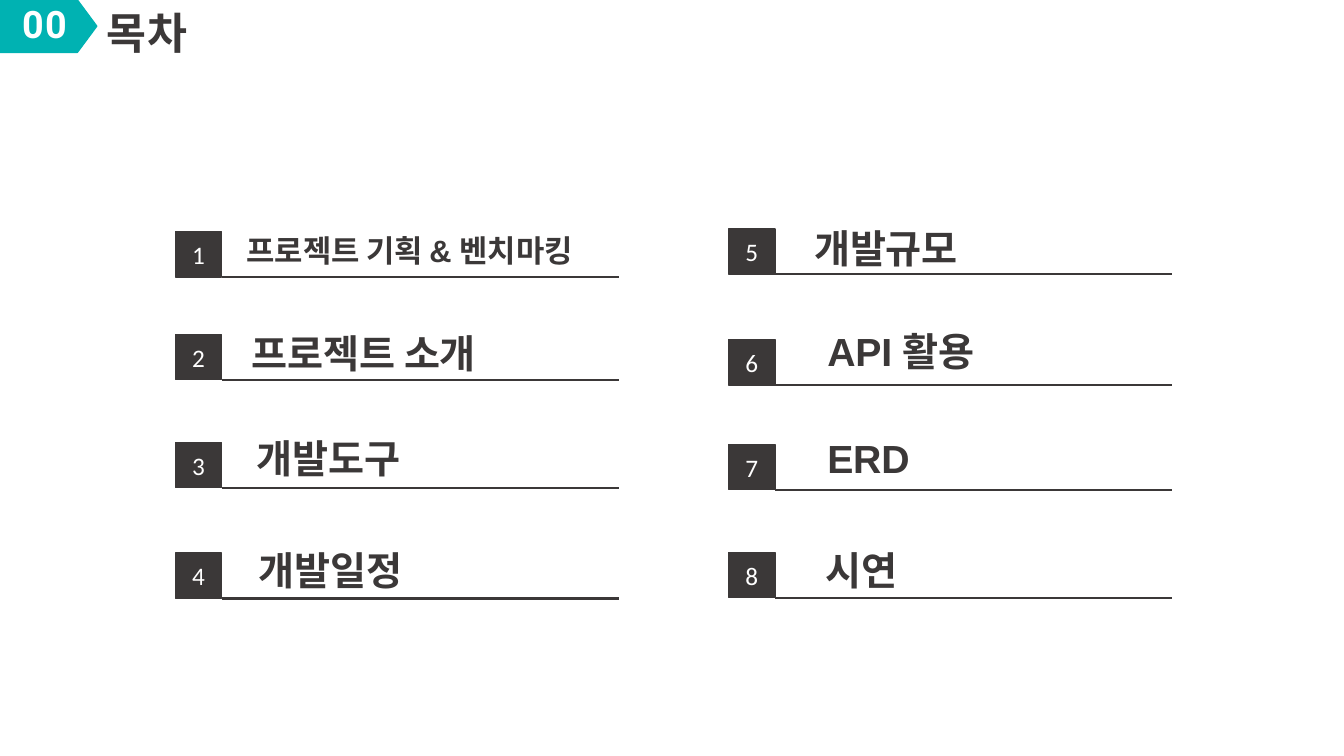
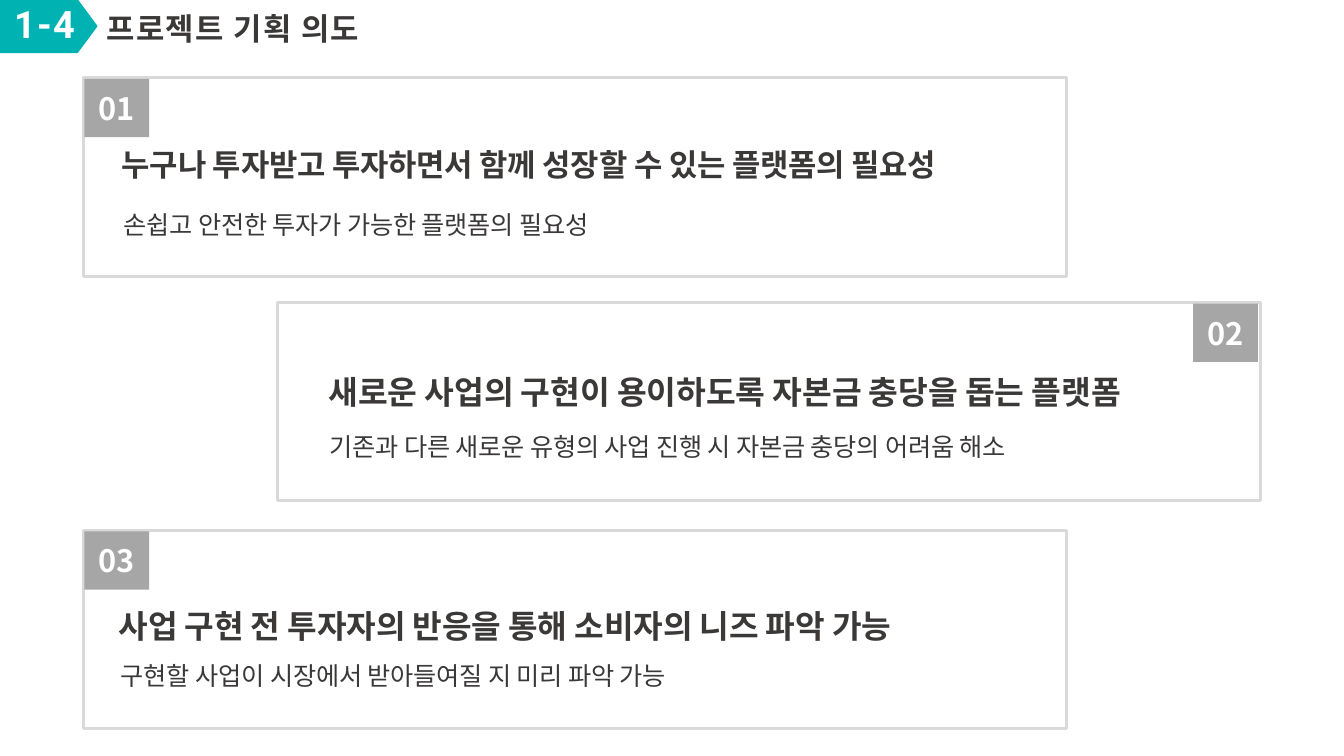
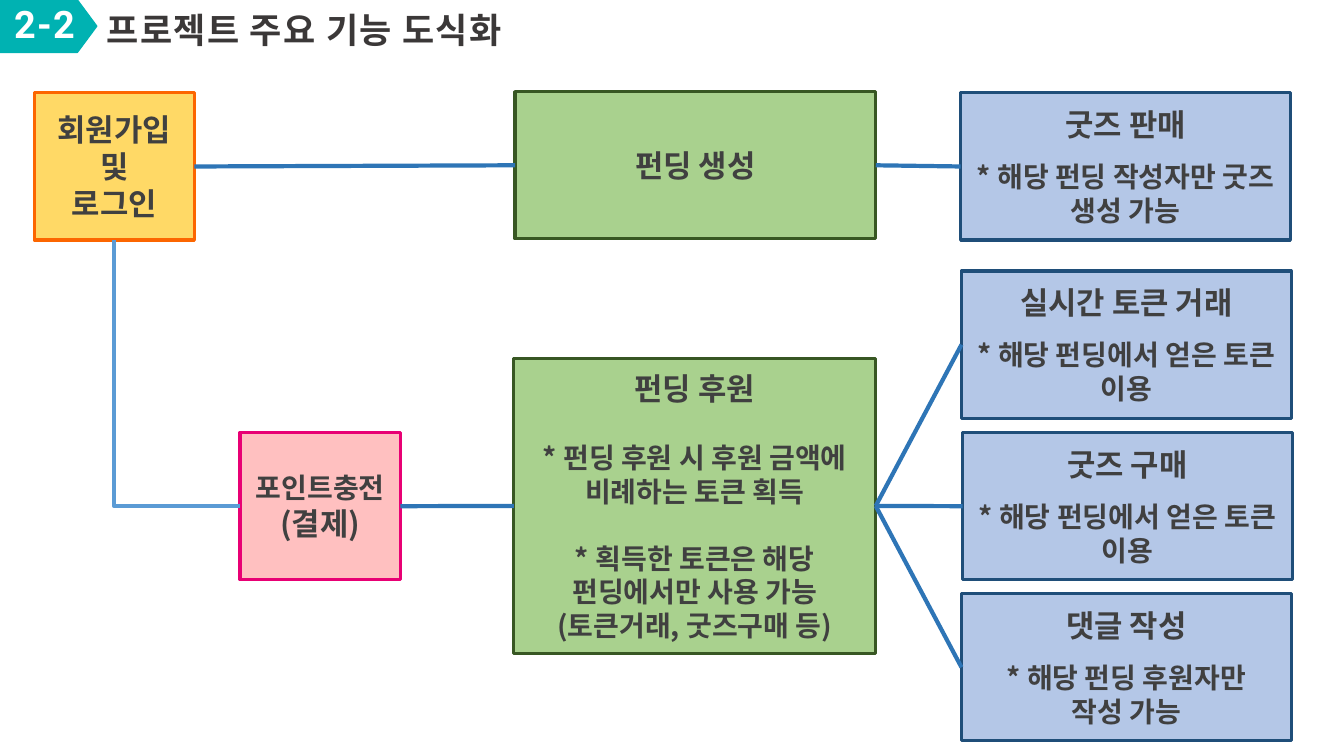
"""Build the agenda, planning-intent and feature-map slides of a funding project."""
from lxml.etree import SubElement
from pptx import Presentation
from pptx.dml.color import RGBColor
from pptx.enum.shapes import MSO_CONNECTOR, MSO_SHAPE
from pptx.enum.text import MSO_ANCHOR, PP_ALIGN
from pptx.oxml.ns import qn
from pptx.util import Cm, Pt

INK = RGBColor(0x3B, 0x38, 0x38)
CHARCOAL = RGBColor(0x40, 0x40, 0x40)
WHITE = RGBColor(0xFF, 0xFF, 0xFF)
TEAL = RGBColor(0x00, 0xB2, 0xB2)
PALE_GREY = RGBColor(0xD9, 0xD9, 0xD9)
MID_GREY = RGBColor(0xA6, 0xA6, 0xA6)
YELLOW = RGBColor(0xFF, 0xD9, 0x66)
ORANGE = RGBColor(0xFC, 0x66, 0x00)
GREEN = RGBColor(0xA9, 0xD1, 0x8E)
DARK_GREEN = RGBColor(0x38, 0x57, 0x23)
SKY = RGBColor(0xB4, 0xC7, 0xE7)
NAVY = RGBColor(0x1F, 0x4E, 0x79)
PINK = RGBColor(0xFF, 0xC0, 0xC0)
MAGENTA = RGBColor(0xE8, 0x00, 0x74)
LINK = RGBColor(0x2E, 0x75, 0xB6)
BENT_LINK = RGBColor(0x5B, 0x9B, 0xD5)

KOREAN = "Noto Sans CJK KR"
TITLE = {"name": "Roboto", "bold": True}
HEADING = {"name": "Arial", "bold": True}
DETAIL = {"name": "Arial", "bold": False}
NUMBER = {"name": "Calibri", "bold": False}
LABEL = {"name": KOREAN, "bold": True}
NO_INSETS = dict.fromkeys(("margin_left", "margin_top", "margin_right", "margin_bottom"), 0)

TOP, LEFT, BOTTOM, RIGHT = range(4)
NODE_HEIGHT = 3.71


def set_all(target, values):
    for name, value in values.items():
        setattr(target, name, value)


def write(paragraph, text, style, size, color, tracking=0, **layout):
    set_all(paragraph, layout)
    run = paragraph.add_run()
    run.text = text
    set_all(run.font, {**style, "size": Pt(size)})
    run.font.color.rgb = color
    properties = run._r.get_or_add_rPr()
    SubElement(properties, qn("a:ea")).set("typeface", KOREAN)
    if tracking:
        properties.set("spc", str(tracking))


def add_text(slide, box, text, style, size, color=INK, tracking=-10, frame=None, **layout):
    text_frame = slide.shapes.add_textbox(*map(Cm, box)).text_frame
    set_all(text_frame, {"word_wrap": True, **(frame or {})})
    write(text_frame.paragraphs[0], text, style, size, color, tracking, **layout)


def add_block(slide, box, fill=None, outline=None, width=1, kind=MSO_SHAPE.RECTANGLE):
    block = slide.shapes.add_shape(kind, *map(Cm, box))
    block.shadow.inherit = False
    if fill is None:
        block.fill.background()
    else:
        block.fill.solid()
        block.fill.fore_color.rgb = fill
    if outline is None:
        block.line.fill.background()
    else:
        block.line.color.rgb = outline
        block.line.width = Pt(width)
    set_all(block.text_frame, {"word_wrap": True, "vertical_anchor": MSO_ANCHOR.MIDDLE})
    return block


def add_number(slide, box, text, style, size, fill, outline=None):
    badge = add_block(slide, box, fill, outline)
    write(badge.text_frame.paragraphs[0], text, style, size, WHITE, alignment=PP_ALIGN.CENTER)


def add_line(slide, start, end, color, width, kind=MSO_CONNECTOR.STRAIGHT):
    line = slide.shapes.add_connector(kind, *map(Cm, start + end))
    line.line.color.rgb = color
    line.line.width = Pt(width)
    SubElement(line._element.spPr, qn("a:effectLst"))
    return line


def add_node(slide, box, fill, outline, lines):
    node = add_block(slide, box, fill, outline, 2.25)
    for index, (text, size, before) in enumerate(lines):
        paragraphs = node.text_frame
        paragraph = paragraphs.add_paragraph() if index else paragraphs.paragraphs[0]
        write(paragraph, text, LABEL, size, CHARCOAL,
              alignment=PP_ALIGN.CENTER, space_before=Pt(before))
    return node


def link(slide, source, target):
    line = add_line(slide, (0, 0), (1, 1), LINK, 3)
    line.begin_connect(source, RIGHT)
    line.end_connect(target, LEFT)


def link_down_then_right(slide, source, target):
    line = add_line(slide, (0, 0), (1, 1), BENT_LINK, 3, MSO_CONNECTOR.ELBOW)
    line.begin_connect(source, BOTTOM)
    line.end_connect(target, LEFT)
    run, drop = line.width, line.height
    shift = (run - drop) // 2
    set_all(line, {"left": line.left + shift, "top": line.top - shift,
                   "width": drop, "height": run})
    properties = line._element.spPr
    properties.find(qn("a:prstGeom")).set("prst", "bentConnector2")
    frame = properties.find(qn("a:xfrm"))
    frame.set("rot", "16200000")
    frame.set("flipH", "1")


def new_slide(deck, number, title, size):
    slide = deck.slides.add_slide(deck.slide_layouts[6])
    add_text(slide, (2.44, 0.38, 13.46, 0.97), title, TITLE, size, tracking=100, line_spacing=0.7)
    flag = add_block(slide, (0, 0, 2.44, 1.32), TEAL, TEAL, kind=MSO_SHAPE.PENTAGON)
    flag.adjustments[0] = 0.37
    add_text(slide, (-0.1, 0.03, 2.44, 1.73), number, TITLE, 27, WHITE, 100,
             alignment=PP_ALIGN.CENTER, line_spacing=0.9)
    return slide


def build_agenda(deck):
    slide = new_slide(deck, "00", "목차", 31)
    columns = (
        (4.42, (("프로젝트 기획 & 벤치마킹", 22, 5.84, 5.97, 5.82),
                ("프로젝트 소개", 28, 8.43, 6.1, 8.31),
                ("개발도구", 28, 11.15, 6.22, 10.95),
                ("개발일정", 28, 13.94, 6.27, 13.77))),
        (18.36, (("개발규모", 28, 5.77, 20.27, 5.66),
                 ("API 활용", 28, 8.56, 20.6, 8.26),
                 ("ERD", 28, 11.2, 20.6, 10.95),
                 ("시연", 28, 13.92, 20.55, 13.77))),
    )
    number = 0
    for left, topics in columns:
        for topic, size, top, text_left, text_top in topics:
            number += 1
            rule = top + 1.14
            add_line(slide, (left + 1.17, rule), (left + 11.18, rule), INK, 1.5)
            add_number(slide, (left, top, 1.17, 1.14), str(number), NUMBER, 18, INK, INK)
            add_text(slide, (text_left, text_top, 9.88, 1.52), topic, HEADING, size,
                     line_spacing=0.9)


def build_intent(deck):
    slide = new_slide(deck, "1-4", "프로젝트 기획 의도", 22)
    reasons = (
        ("01", (2.11, 1.96), 2.13,
         "누구나 투자받고 투자하면서 함께 성장할 수 있는 플랫폼의 필요성", 22, (2.82, 3.66),
         "손쉽고 안전한 투자가 가능한 플랫폼의 필요성", (3.12, 5.28)),
        ("02", (6.99, 7.62), 30.07,
         "새로운 사업의 구현이 용이하도록 자본금 충당을 돕는 플랫폼", 23.1, (8.03, 9.37),
         "기존과 다른 새로운 유형의 사업 진행 시 자본금 충당의 어려움 해소", (8.31, 10.87)),
        ("03", (2.11, 13.36), 2.13,
         "사업 구현 전 투자자의 반응을 통해 소비자의 니즈 파악 가능", 23, (2.74, 15.27),
         "구현할 사업이 시장에서 받아들여질 지 미리 파악 가능", (3.05, 16.64)),
    )
    for number, card, tag_left, heading, size, heading_at, detail, detail_at in reasons:
        add_block(slide, card + (24.77, 5), outline=PALE_GREY, width=2.25)
        add_number(slide, (tag_left, card[1] + 0.03, 1.63, 1.47), number, LABEL, 22, MID_GREY)
        add_text(slide, heading_at + (25.37, 1.3), heading, HEADING, size, line_spacing=0.9)
        add_text(slide, detail_at + (22.56, 1), detail, DETAIL, 18, frame=NO_INSETS)


def build_features(deck):
    slide = new_slide(deck, "2-2", "프로젝트 주요 기능 도식화", 25)
    sign_up = add_node(slide, (0.86, 2.34, 4.04, NODE_HEIGHT), YELLOW, ORANGE,
                       (("회원가입", 22, 0), ("및", 22, 0), ("로그인", 22, 0)))
    create = add_node(slide, (12.98, 2.31, 9.09, NODE_HEIGHT), GREEN, DARK_GREEN,
                      (("펀딩 생성", 22, 0),))
    support = add_node(slide, (12.95, 9.04, 9.12, 2 * NODE_HEIGHT), GREEN, DARK_GREEN,
                       (("펀딩 후원", 22, 0),
                        ("* 펀딩 후원 시 후원 금액에 비례하는 토큰 획득", 20, 24),
                        ("* 획득한 토큰은 해당 펀딩에서만 사용 가능", 20, 24),
                        ("(토큰거래, 굿즈구매 등)", 20, 0)))
    charge = add_node(slide, (6.05, 10.9, 4.04, NODE_HEIGHT), PINK, MAGENTA,
                      (("포인트충전", 20, 0), ("(결제)", 22, 0)))
    outcomes = (
        (create, 24.21, 2.34, "굿즈 판매", ("* 해당 펀딩 작성자만 굿즈 생성 가능",)),
        (support, 24.23, 6.83, "실시간 토큰 거래", ("* 해당 펀딩에서 얻은 토큰 이용",)),
        (support, 24.26, 10.9, "굿즈 구매", ("* 해당 펀딩에서 얻은 토큰 이용",)),
        (support, 24.23, 14.96, "댓글 작성", ("* 해당 펀딩 후원자만", "작성 가능")),
    )
    for source, left, top, heading, notes in outcomes:
        lines = [(heading, 22, 0)]
        lines += [(note, 20, 0 if index else 12) for index, note in enumerate(notes)]
        outcome = add_node(slide, (left, top, 8.31, NODE_HEIGHT), SKY, NAVY, lines)
        link(slide, source, outcome)
    link(slide, sign_up, create)
    link(slide, charge, support)
    link_down_then_right(slide, sign_up, charge)


def main():
    deck = Presentation()
    set_all(deck, {"slide_width": Cm(33.87), "slide_height": Cm(19.05)})
    for build in (build_agenda, build_intent, build_features):
        build(deck)
    deck.save("out.pptx")


if __name__ == "__main__":
    main()
